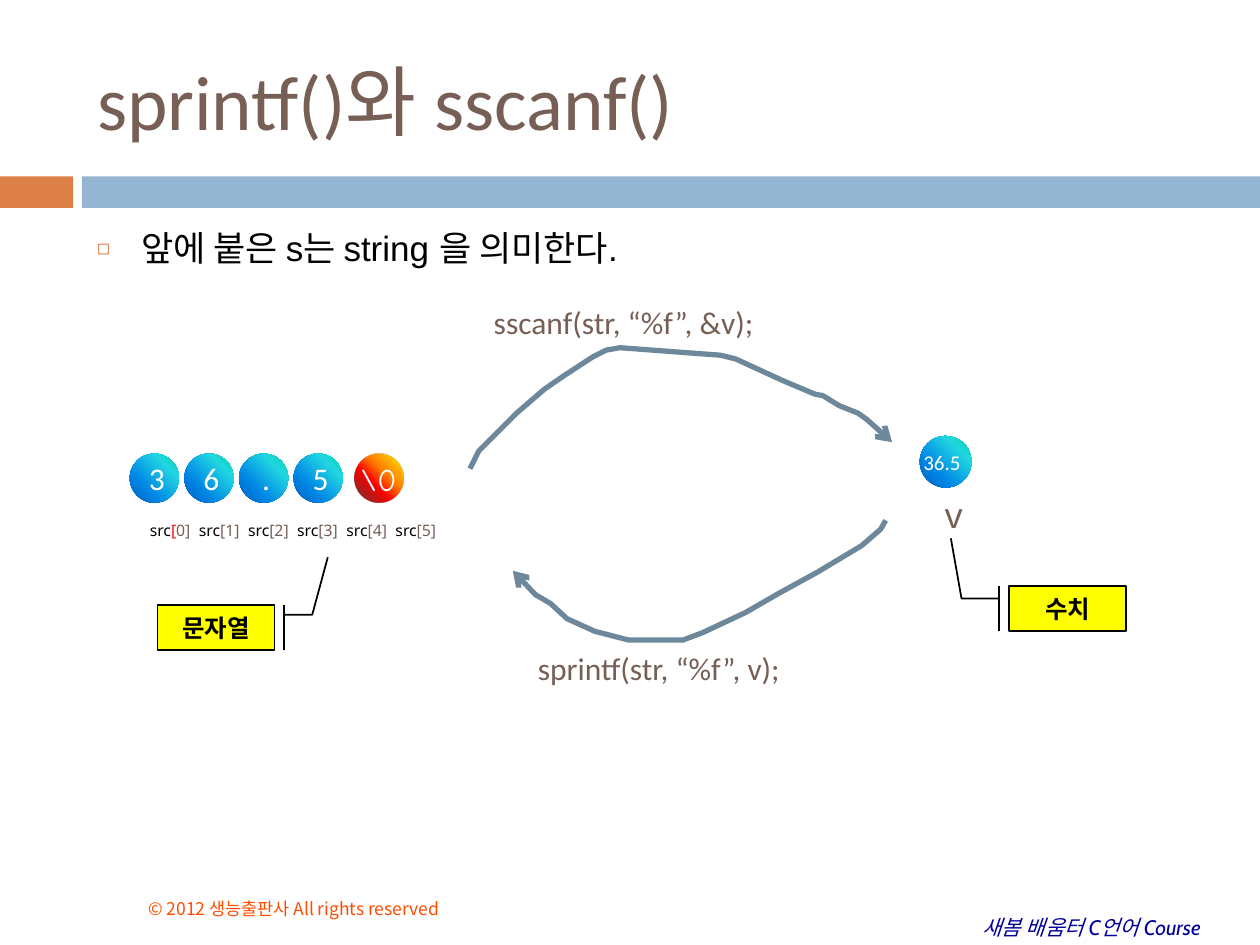
from lxml import etree
from pptx import Presentation
from pptx.dml.color import RGBColor
from pptx.enum.shapes import MSO_SHAPE
from pptx.enum.text import MSO_ANCHOR, PP_ALIGN
from pptx.oxml import parse_xml
from pptx.oxml.ns import qn
from pptx.util import Inches, Pt

OVAL, RECTANGLE = MSO_SHAPE.OVAL, MSO_SHAPE.RECTANGLE
CALLOUT = MSO_SHAPE.LINE_CALLOUT_2_BORDER_AND_ACCENT_BAR
LEFT, CENTER = PP_ALIGN.LEFT, PP_ALIGN.CENTER
TOP, MIDDLE, BOTTOM = MSO_ANCHOR.TOP, MSO_ANCHOR.MIDDLE, MSO_ANCHOR.BOTTOM
NAMESPACE = "http://schemas.openxmlformats.org/drawingml/2006/main"

BROWN, BLACK, WHITE, ORANGE = "775F55", "000000", "FFFFFF", "DD8047"
KOREAN = "Noto Sans CJK KR"
BLUE_STOPS = [(0, "03D4A8", 100), (25, "21D6E0", 100), (68, "0087E6", 100), (100, "005CBF", 100)]
FIRE_STOPS = [(0, "FFF200", 100), (40, "FF7A00", 100), (60, "FF0300", 100), (100, "4D0808", 80)]

TITLE = "sprintf()와 sscanf()"
BULLET = "앞에 붙은 s는 string 을 의미한다."
FOOTER = "새봄 배움터 C언어 Course"
COPYRIGHT = "© 2012 생능출판사 All rights reserved"
BANDS = [(0, 0.58, ORANGE), (0.65, 9.35, "94B6D2")]
DIGITS = ["3", "6", ".", "5"]
INDEX_COUNT = 6
LABELS = [
    ("\\0", (2.76, 3.6, 0.51, 0.4), 18, "Comic Neue", WHITE),
    ("36.5", (7.23, 3.52, 0.72, 0.3), 12, "Calibri", WHITE),
    ("v", (7.4, 3.87, 0.62, 0.44), 20, "Noto Sans", BROWN),
    ("sscanf(str, “%f”, &v);", (3.82, 2.36, 2.75, 0.4), 18, "Calibri", BROWN),
    ("sprintf(str, “%f”, v);", (4.17, 5.1, 2.6, 0.4), 18, "Calibri", BROWN),
]
CALLOUTS = [
    ("문자열", (1.25, 4.8, 0.93, 0.36), (0.222, 1.08, 0.222, 1.321, -1.049, 1.454)),
    ("수치", (8.01, 4.65, 0.93, 0.36), (0.28, -0.09, 0.28, -0.407, -1.049, -0.498)),
]
SSCANF_ARROW = [
    (3.73, 3.72), (3.8, 3.58), (3.96, 3.42), (4.1, 3.28), (4.32, 3.09), (4.48, 2.98),
    (4.71, 2.83), (4.81, 2.78), (4.92, 2.76), (5.45, 2.8), (5.72, 2.82), (5.84, 2.85),
    (6.21, 3.02), (6.47, 3.13), (6.53, 3.14), (6.66, 3.22), (6.81, 3.28), (6.88, 3.33),
    (7.08, 3.51),
]
SPRINTF_ARROW = [
    (7.03, 4.13), (6.99, 4.2), (6.84, 4.33), (6.49, 4.54), (6.18, 4.71), (5.92, 4.86),
    (5.58, 5.02), (5.42, 5.08), (4.99, 5.08), (4.72, 5.01), (4.5, 4.91), (4.37, 4.79),
    (4.25, 4.72), (4.07, 4.53),
]


def color(value):
    return RGBColor.from_string(value)


def add_element(parent, tag, **attributes):
    return etree.SubElement(parent, qn(tag), attributes)


def style(para, size, font, ink, align=LEFT, bold=False, italic=False):
    para.alignment = align
    para.font.size, para.font.name = Pt(size), font
    para.font.bold, para.font.italic = bold, italic
    para.font.color.rgb = color(ink)


def add_text(slide, text, place, size, font, ink, anchor=TOP, wrap=True, italic=False):
    box = slide.shapes.add_textbox(*map(Inches, place))
    frame = box.text_frame
    frame.word_wrap, frame.vertical_anchor = wrap, anchor
    frame.text = text
    style(frame.paragraphs[0], size, font, ink, italic=italic)


def add_plain_shape(slide, kind, place, fill=None):
    shape = slide.shapes.add_shape(kind, *map(Inches, place))
    shape.shadow.inherit = False
    shape.line.fill.background()
    if fill:
        shape.fill.solid()
        shape.fill.fore_color.rgb = color(fill)
    return shape


def add_ball(slide, left, top, size, stops):
    ball = add_plain_shape(slide, OVAL, (left, top, size, size))
    gradient = parse_xml(f'<a:gradFill xmlns:a="{NAMESPACE}" rotWithShape="1"/>')
    stop_list = add_element(gradient, "a:gsLst")
    for position, ink, opacity in stops:
        stop = add_element(stop_list, "a:gs", pos=str(position * 1000))
        tone = add_element(stop, "a:srgbClr", val=ink)
        if opacity < 100:
            add_element(tone, "a:alpha", val=str(opacity * 1000))
    circle = add_element(gradient, "a:path", path="circle")
    add_element(circle, "a:fillToRect", l="100000", b="100000")
    ball._element.spPr.find(qn("a:prstGeom")).addnext(gradient)
    return ball


def write_centered(shape, text, size, font, ink, bold=False, left_inset=0):
    frame = shape.text_frame
    frame.word_wrap, frame.vertical_anchor = False, MIDDLE
    frame.margin_left = Inches(left_inset)
    frame.margin_right = frame.margin_top = frame.margin_bottom = 0
    frame.text = text
    style(frame.paragraphs[0], size, font, ink, CENTER, bold)


def add_curved_arrow(slide, points):
    start, *rest = [(Inches(x), Inches(y)) for x, y in points]
    builder = slide.shapes.build_freeform(*start)
    builder.add_line_segments(rest, close=False)
    arrow = builder.convert_to_shape()
    arrow.shadow.inherit = False
    arrow.fill.background()
    arrow.line.color.rgb = color("6D879B")
    arrow.line.width = Pt(3)
    line = arrow.line._get_or_add_ln()
    add_element(line, "a:round")
    add_element(line, "a:tailEnd", type="arrow")


def fill_placeholder(shape, text, place, anchor):
    shape.left, shape.top, shape.width, shape.height = map(Inches, place)
    frame = shape.text_frame
    frame.vertical_anchor = anchor
    frame.text = text
    return frame.paragraphs[0]


def add_index_labels(slide):
    box = slide.shapes.add_textbox(*map(Inches, (1.09, 4.08, 2.75, 0.25)))
    box.text_frame.word_wrap = True
    para = box.text_frame.paragraphs[0]
    tabs = add_element(para._p.get_or_add_pPr(), "a:tabLst")
    for index in range(INDEX_COUNT):
        if index:
            add_element(tabs, "a:tab", pos=str(Inches(0.39 * index)), algn="l")
        bracket = [("[", "FF0000"), ("0]", BROWN)] if index == 0 else [(f"[{index}]", BROWN)]
        lead = "\t" if index else ""
        for text, ink in [(lead + "src", BLACK), *bracket]:
            span = para.add_run()
            span.text = text
            span.font.color.rgb = color(ink)
    para.font.size, para.font.name = Pt(9), "Noto Sans"


def main():
    deck = Presentation()
    deck.slide_width, deck.slide_height = Inches(10), Inches(7.5)
    slide = deck.slides.add_slide(deck.slide_layouts[1])

    for left, width, fill in BANDS:
        add_plain_shape(slide, RECTANGLE, (left, 1.4, width, 0.25), fill)
    add_text(slide, FOOTER, (7.7, 7.21, 2.18, 0.3), 12, "Cabin", "000099",
             wrap=False, italic=True)
    add_text(slide, COPYRIGHT, (1.08, 6.92, 3.83, 0.42), 10, KOREAN, "FF4C00", anchor=BOTTOM)

    title = fill_placeholder(slide.shapes.title, TITLE, (0.67, 0.25, 8.92, 1.08), MIDDLE)
    style(title, 44, "Calibri", BROWN)
    body = fill_placeholder(slide.placeholders[1], BULLET, (0.67, 1.75, 8.92, 4.92), TOP)
    body.space_before = Pt(0)
    settings = body._p.get_or_add_pPr()
    settings.set("marL", str(Inches(0.35)))
    settings.set("indent", str(-Inches(0.35)))
    add_element(add_element(settings, "a:buClr"), "a:srgbClr", val=ORANGE)
    add_element(settings, "a:buSzPct", val="60000")
    add_element(settings, "a:buChar", char="◻")
    style(body, 20, "Arial", BLACK)

    add_index_labels(slide)
    for index, digit in enumerate(DIGITS):
        ball = add_ball(slide, 1.03 + 1.3 / 3 * index, 3.6, 0.39, BLUE_STOPS)
        write_centered(ball, digit, 18, "Calibri", WHITE, left_inset=0.04)
    add_ball(slide, 2.81, 3.6, 0.39, FIRE_STOPS)
    add_ball(slide, 7.3, 3.46, 0.41, BLUE_STOPS)

    for text, place, adjustments in CALLOUTS:
        callout = add_plain_shape(slide, CALLOUT, place, "FFFF00")
        callout.line.color.rgb = color(BLACK)
        callout.line.width = Pt(1)
        for index, value in enumerate(adjustments):
            callout.adjustments[index] = value
        write_centered(callout, text, 14, KOREAN, BLACK, bold=True)

    for points in (SSCANF_ARROW, SPRINTF_ARROW):
        add_curved_arrow(slide, points)
    for label in LABELS:
        add_text(slide, *label)
    deck.save("out.pptx")


if __name__ == "__main__":
    main()
